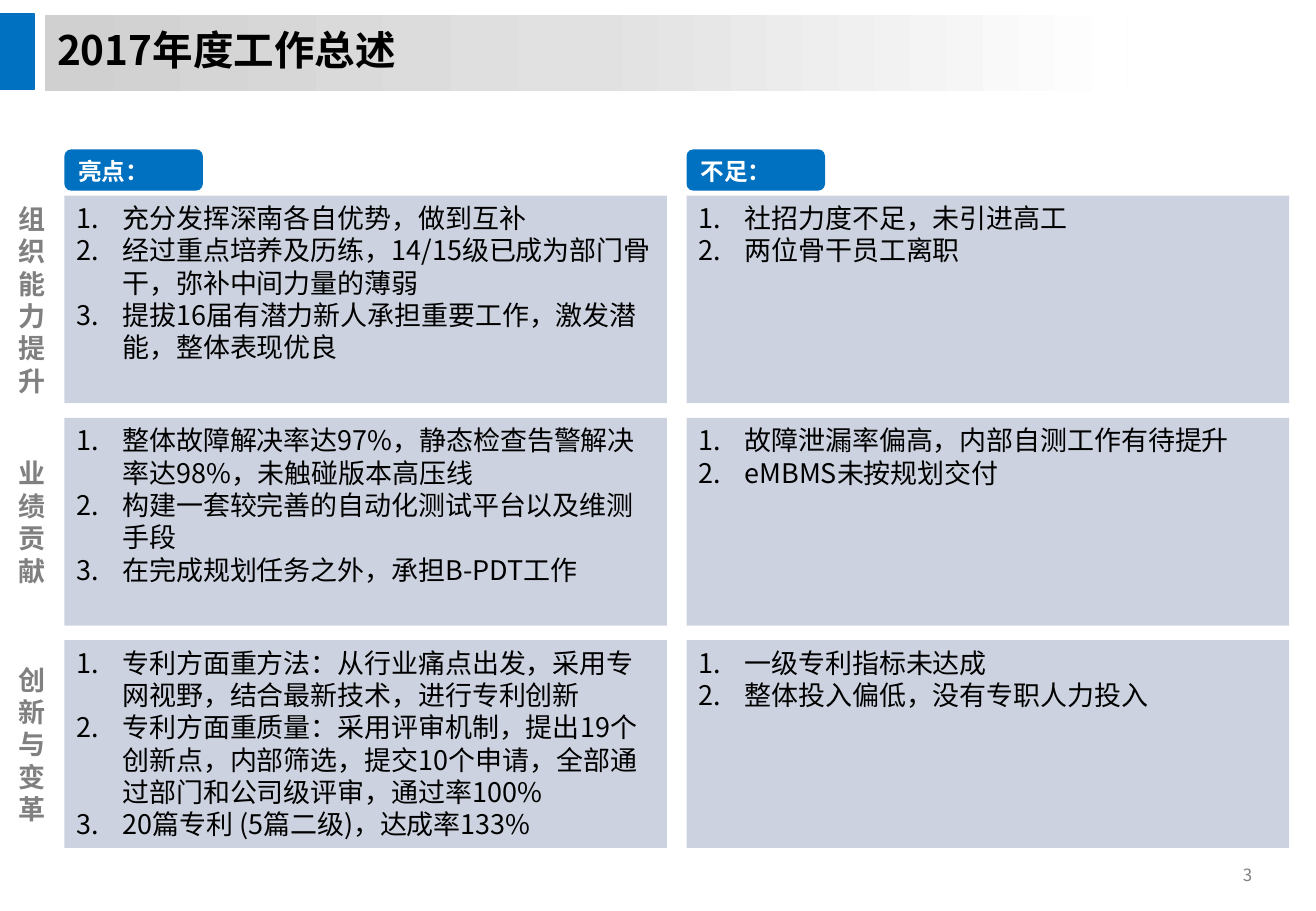
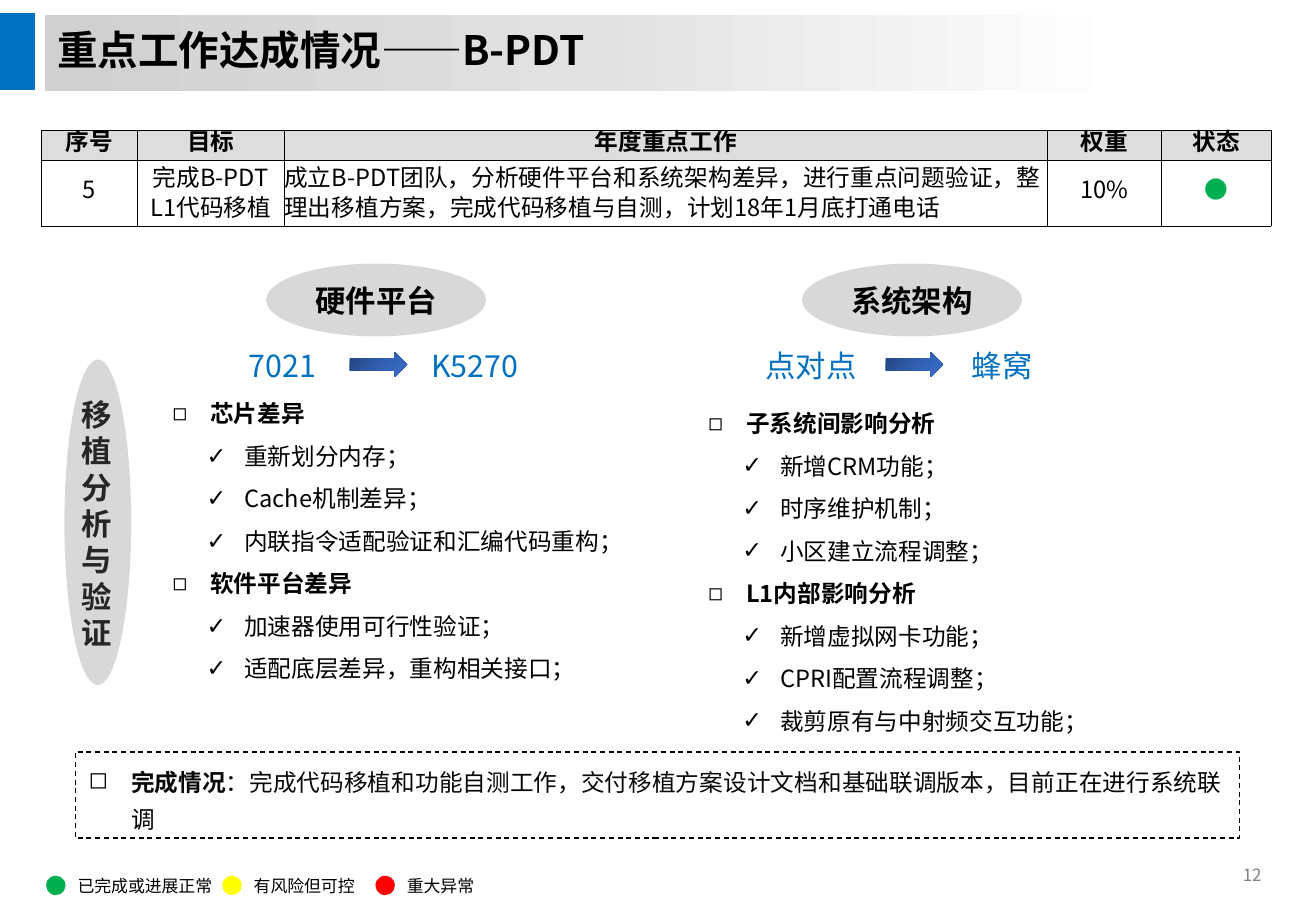
from copy import deepcopy

from lxml.etree import SubElement
from pptx import Presentation
from pptx.dml.color import RGBColor
from pptx.enum.dml import MSO_LINE
from pptx.enum.shapes import MSO_SHAPE as Shape
from pptx.enum.text import MSO_ANCHOR as Anchor, MSO_AUTO_SIZE as AutoSize, PP_ALIGN as Align
from pptx.oxml.ns import qn
from pptx.util import Inches, Pt

SLIDE_SIZE = (10.83, 7.5)
FONT = "Noto Sans CJK SC"
TITLE_ONLY, TWO_CONTENT = 5, 3

BLUE = RGBColor(0x00, 0x70, 0xC0)
NAVY = RGBColor(0x00, 0x20, 0x60)
BLACK = RGBColor(0x00, 0x00, 0x00)
SOFT_BLACK = RGBColor(0x08, 0x08, 0x08)
WHITE = RGBColor(0xFF, 0xFF, 0xFF)
GRAY = RGBColor(0x80, 0x80, 0x80)
HEADER_GRAY = RGBColor(0xDD, 0xDD, 0xDD)
GREEN = RGBColor(0x00, 0xB0, 0x50)
YELLOW = RGBColor(0xFF, 0xFF, 0x00)
RED = RGBColor(0xFF, 0x00, 0x00)
TITLE_GRADIENT = (RGBColor(0xD0, 0xD0, 0xD0), RGBColor(0xE1, 0xE1, 0xE1), WHITE)
ARROW_GRADIENT = (RGBColor(0x23, 0x42, 0x7A), RGBColor(0x31, 0x5E, 0xAD), RGBColor(0x3A, 0x6F, 0xCE))

# Review grid: two columns by three rows
COLUMN_LEFT, COLUMN_STEP, COLUMN_WIDTH = 0.53, 5.12, 4.96
ROW_TOP, ROW_STEP, ROW_HEIGHT = 1.61, 1.83, 1.71
# Distance between the two migration topics
TOPIC_STEP = 4.41

REVIEW_HEADINGS = ("亮点：", "不足：")
REVIEW = (
    ("组织能力提升",
     ("充分发挥深南各自优势，做到互补",
      "经过重点培养及历练，14/15级已成为部门骨干，弥补中间力量的薄弱",
      "提拔16届有潜力新人承担重要工作，激发潜能，整体表现优良"),
     ("社招力度不足，未引进高工", "两位骨干员工离职")),
    ("业绩贡献",
     ("整体故障解决率达97%，静态检查告警解决率达98%，未触碰版本高压线",
      "构建一套较完善的自动化测试平台以及维测手段",
      "在完成规划任务之外，承担B-PDT工作"),
     ("故障泄漏率偏高，内部自测工作有待提升", "eMBMS未按规划交付")),
    ("创新与变革",
     ("专利方面重方法：从行业痛点出发，采用专网视野，结合最新技术，进行专利创新",
      "专利方面重质量：采用评审机制，提出19个创新点，内部筛选，提交10个申请，"
      "全部通过部门和公司级评审，通过率100%",
      "20篇专利 (5篇二级)，达成率133%"),
     ("一级专利指标未达成", "整体投入偏低，没有专职人力投入")),
)

GOAL_WIDTHS = (0.79, 1.21, 6.28, 0.94, 0.9)
GOAL_HEIGHTS = (0.25, 0.54)
GOAL_ROWS = (
    ("序号", "目标", "年度重点工作", "权重", "状态"),
    ("5", "完成B-PDT L1代码移植",
     "成立B-PDT团队，分析硬件平台和系统架构差异，进行重点问题验证，"
     "整理出移植方案，完成代码移植与自测，计划18年1月底打通电话", "10%", "●"),
)

# name, before, after, left of before, left of after, list top, list
TOPICS = (
    ("硬件平台", "7021", "K5270", 1.95, 3.45, 3.12, (
        ("芯片差异", ("重新划分内存；", "Cache机制差异；", "内联指令适配验证和汇编代码重构；")),
        ("软件平台差异", ("加速器使用可行性验证；", "适配底层差异，重构相关接口；")))),
    ("系统架构", "点对点", "蜂窝", 6.2, 7.9, 3.2, (
        ("子系统间影响分析", ("新增CRM功能；", "时序维护机制；", "小区建立流程调整；")),
        ("L1内部影响分析", ("新增虚拟网卡功能；", "CPRI配置流程调整；", "裁剪原有与中射频交互功能；")))),
)
LEGEND = ((0.38, GREEN, "已完成或进展正常"), (1.83, YELLOW, "有风险但可控"), (3.09, RED, "重大异常"))


def place(shape, at):
    for side, inches in zip(("left", "top", "width", "height"), at):
        setattr(shape, side, Inches(inches))


def set_frame(frame, inset=None, **formats):
    if inset is not None:
        for side, inches in zip(("left", "top", "right", "bottom"), inset):
            setattr(frame, f"margin_{side}", Inches(inches))
    for name, value in {"word_wrap": True, "vertical_anchor": Anchor.TOP, **formats}.items():
        setattr(frame, name, value)


def add_run(paragraph, text, size, color=BLACK, bold=False):
    run = paragraph.add_run()
    run.text = text
    run.font.color.rgb = color
    for name, value in {"size": Pt(size), "bold": bold, "name": FONT}.items():
        setattr(run.font, name, value)
    SubElement(run.font._element, qn("a:ea"), typeface=FONT)


def format_paragraph(paragraph, **formats):
    defaults = {"alignment": Align.LEFT, "space_before": Pt(0), "space_after": Pt(0)}
    for name, value in {**defaults, **formats}.items():
        setattr(paragraph, name, value)


def add_bullet(paragraph, left, hang, mark=None):
    """Hang a bullet mark, or an automatic number when no mark is given."""
    properties = paragraph._p.get_or_add_pPr()
    properties.set("marL", str(Inches(left)))
    properties.set("indent", str(-Inches(hang)))
    if mark:
        SubElement(properties, qn("a:buChar"), char=mark)
    else:
        SubElement(properties, qn("a:buAutoNum"), type="arabicPeriod")


def next_paragraph(frame):
    first = frame.paragraphs[0]
    return frame.add_paragraph() if first.runs else first


def fill_gradient(shape, colors, angle):
    shape.fill.gradient()
    shape.fill.gradient_angle = angle
    stop_list = shape._element.spPr.find(".//" + qn("a:gsLst"))
    stop_list.insert(1, deepcopy(stop_list[0]))
    for stop, position, color in zip(shape.fill.gradient_stops, (0, 0.5, 1), colors):
        stop.position = position
        stop.color.rgb = color


def add_box(slide, kind, at, fill=None, opacity=100):
    box = slide.shapes.add_shape(kind, *map(Inches, at))
    box.shadow.inherit = False
    box.line.fill.background()
    if fill is None:
        box.fill.background()
    else:
        box.fill.solid()
        box.fill.fore_color.rgb = fill
        if opacity < 100:
            color = box._element.spPr.find(".//" + qn("a:srgbClr"))
            SubElement(color, qn("a:alpha"), val=str(opacity * 1000))
    return box


def write_line(frame, text, size, color=BLACK, bold=False, align=Align.LEFT):
    paragraph = frame.paragraphs[0]
    format_paragraph(paragraph, alignment=align)
    add_run(paragraph, text, size, color, bold)


def add_label(slide, at, text, size, color=BLACK, bold=False, **formats):
    label = slide.shapes.add_textbox(*map(Inches, at))
    set_frame(label.text_frame, **formats)
    write_line(label.text_frame, text, size, color, bold)


def add_tag(slide, at, text):
    """Small text that keeps to one line."""
    color = GRAY if text.isdigit() else BLACK
    add_label(slide, at, text, 10, color, word_wrap=False, auto_size=AutoSize.SHAPE_TO_FIT_TEXT)


def add_page(deck, layout, title, number):
    slide = deck.slides.add_slide(deck.slide_layouts[layout])
    add_tag(slide, (10.13, 7.07, 0.39, 0.27), number)
    band = add_box(slide, Shape.RECTANGLE, (-0.03, 0.11, 0.31, 0.63), BLUE)
    band.line.color.rgb = BLUE
    band.line.width = Pt(0.75)

    heading = slide.shapes.title
    place(heading, (0.37, 0.12, 8.91, 0.63))
    fill_gradient(heading, TITLE_GRADIENT, 0)
    set_frame(heading.text_frame, vertical_anchor=Anchor.MIDDLE, auto_size=AutoSize.NONE)
    write_line(heading.text_frame, title, 24, bold=True)
    heading.text_frame.paragraphs[0].line_spacing = 0.9
    return slide


def add_numbered_panel(slide, at, items):
    frame = add_box(slide, Shape.RECTANGLE, at, NAVY, 20).text_frame
    set_frame(frame)
    for item in items:
        paragraph = next_paragraph(frame)
        format_paragraph(paragraph)
        add_bullet(paragraph, 0.38, 0.38)
        add_run(paragraph, item, 16)


def build_review(deck):
    slide = add_page(deck, TITLE_ONLY, "2017年度工作总述", "3")
    lefts = [COLUMN_LEFT + column * COLUMN_STEP for column in range(len(REVIEW_HEADINGS))]
    for left, heading in zip(lefts, REVIEW_HEADINGS):
        pill = add_box(slide, Shape.ROUNDED_RECTANGLE, (left, 1.23, 1.14, 0.34), BLUE)
        set_frame(pill.text_frame)
        write_line(pill.text_frame, heading, 14, WHITE, True)
    for row, (theme, *panels) in enumerate(REVIEW):
        top = ROW_TOP + row * ROW_STEP
        for left, items in zip(lefts, panels):
            add_numbered_panel(slide, (left, top, COLUMN_WIDTH, ROW_HEIGHT), items)
        add_label(slide, (0.05, top, 0.49, ROW_HEIGHT), theme, 16, GRAY, True,
                  vertical_anchor=Anchor.MIDDLE)


def add_borders(cell):
    properties = cell._tc.get_or_add_tcPr()
    for index, side in enumerate(("lnL", "lnR", "lnT", "lnB")):
        border = SubElement(properties, qn(f"a:{side}"), w=str(Pt(0.25)))
        SubElement(SubElement(border, qn("a:solidFill")), qn("a:srgbClr"), val=str(BLACK))
        properties.insert(index, border)


def add_goal_table(slide):
    at = (0.34, 1.07, sum(GOAL_WIDTHS), sum(GOAL_HEIGHTS))
    table = slide.shapes.add_table(len(GOAL_ROWS), len(GOAL_WIDTHS), *map(Inches, at)).table
    table.first_row = table.horz_banding = False
    for column, width in zip(table.columns, GOAL_WIDTHS):
        column.width = Inches(width)
    for r, texts in enumerate(GOAL_ROWS):
        table.rows[r].height = Inches(GOAL_HEIGHTS[r])
        for c, text in enumerate(texts):
            cell = table.cell(r, c)
            cell.vertical_anchor = Anchor.MIDDLE
            for side in ("left", "top", "right", "bottom"):
                setattr(cell, f"margin_{side}", 0)
            if r == 0:
                cell.fill.solid()
                cell.fill.fore_color.rgb = HEADER_GRAY
            else:
                cell.fill.background()
            add_borders(cell)
            paragraph = cell.text_frame.paragraphs[0]
            wraps = r == 1 and c in (1, 2)
            format_paragraph(paragraph, alignment=Align.LEFT if r == 1 and c == 2 else Align.CENTER,
                             line_spacing=Pt(18 if wraps else 14), space_before=Pt(1.4))
            add_run(paragraph, text, 14, GREEN if text == "●" else BLACK, r == 0)


def fill_checklist(holder, at, groups):
    place(holder, at)
    frame = holder.text_frame
    set_frame(frame, auto_size=AutoSize.NONE)
    for heading, checks in groups:
        for level, text in [(0, heading)] + [(1, check) for check in checks]:
            paragraph = next_paragraph(frame)
            format_paragraph(paragraph, level=level, line_spacing=1.5)
            add_bullet(paragraph, (0.31, 0.59)[level], 0.31, "◻✓"[level])
            add_run(paragraph, text, 14, bold=level == 0)


def add_topic(slide, index, topic):
    name, before, after, before_left, after_left, list_top, groups = topic
    shift = index * TOPIC_STEP
    oval = add_box(slide, Shape.OVAL, (2.19 + shift, 2.17, 1.81, 0.6), GRAY, 30)
    set_frame(oval.text_frame, (0, 0, 0, 0), vertical_anchor=Anchor.MIDDLE)
    write_line(oval.text_frame, name, 18, bold=True, align=Align.CENTER)
    for left, text in ((before_left, before), (after_left, after)):
        add_label(slide, (left, 2.81, 1.1, 0.4), text, 18, BLUE)
    arrow = add_box(slide, Shape.RIGHT_ARROW, (2.88 + shift, 2.9, 0.47, 0.2))
    fill_gradient(arrow, ARROW_GRADIENT, 315)
    fill_checklist(slide.placeholders[index + 1], (1.32 + shift, list_top, 3.86, 2.93), groups)


def add_completion_note(slide):
    note = add_box(slide, Shape.RECTANGLE, (0.62, 6.19, 9.58, 0.71))
    note.line.color.rgb = BLACK
    note.line.width = Pt(0.75)
    note.line.dash_style = MSO_LINE.DASH
    set_frame(note.text_frame, (0.11, 0.06, 0.11, 0.06))
    paragraph = note.text_frame.paragraphs[0]
    format_paragraph(paragraph, line_spacing=1.3)
    add_bullet(paragraph, 0.35, 0.35, "◻")
    add_run(paragraph, "完成情况", 14, SOFT_BLACK, True)
    add_run(paragraph, "：完成代码移植和功能自测工作，交付移植方案设计文档和基础联调版本，目前", 14, SOFT_BLACK)
    add_run(paragraph, "正在进行系统联调", 14)


def build_migration(deck):
    slide = add_page(deck, TWO_CONTENT, "重点工作达成情况——B-PDT", "12")
    add_goal_table(slide)
    for index, topic in enumerate(TOPICS):
        add_topic(slide, index, topic)
    add_label(slide, (0.57, 3.21, 0.47, 2.22), "移植分析与验证", 18, bold=True)
    add_box(slide, Shape.OVAL, (0.53, 2.96, 0.55, 2.68), GRAY, 30)
    add_completion_note(slide)
    for left, color, meaning in LEGEND:
        add_box(slide, Shape.OVAL, (left, 7.21, 0.16, 0.16), color)
        add_tag(slide, (left + 0.16, 7.16, 0.2 + len(meaning) * 0.14, 0.27), meaning)


def main():
    deck = Presentation()
    deck.slide_width, deck.slide_height = map(Inches, SLIDE_SIZE)
    build_review(deck)
    build_migration(deck)
    deck.save("out.pptx")


if __name__ == "__main__":
    main()
